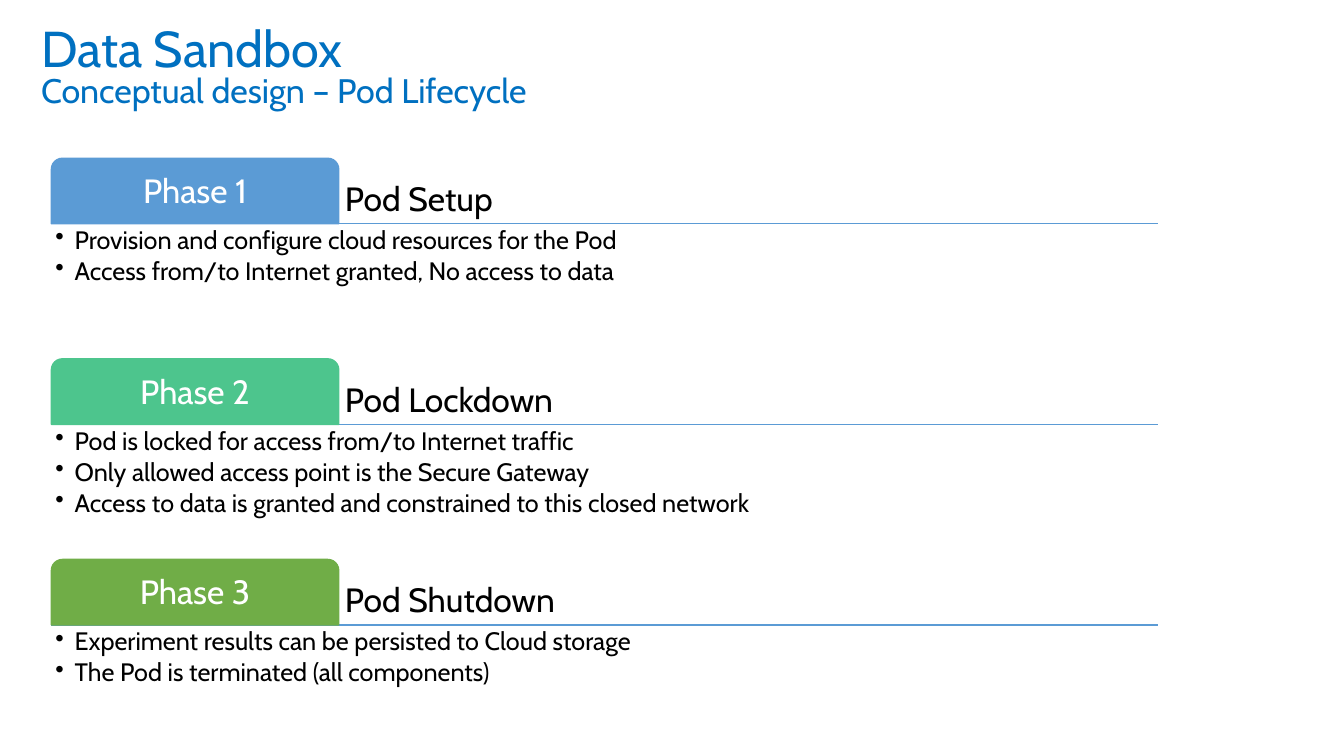
import lxml.etree
import pptx
import pptx.dml.color
import pptx.enum.shapes
import pptx.enum.text
import pptx.oxml.ns
import pptx.util

BLUE = pptx.dml.color.RGBColor(0x5B, 0x9B, 0xD5)
MINT = pptx.dml.color.RGBColor(0x4D, 0xC5, 0x8D)
GREEN = pptx.dml.color.RGBColor(0x70, 0xAD, 0x47)
HEADING = pptx.dml.color.RGBColor(0x00, 0x70, 0xC0)
BLACK = pptx.dml.color.RGBColor(0x00, 0x00, 0x00)
WHITE = pptx.dml.color.RGBColor(0xFF, 0xFF, 0xFF)
ANCHOR = pptx.enum.text.MSO_ANCHOR
ALIGN = pptx.enum.text.PP_ALIGN
PX = 9144

LEFT, RIGHT, FIRST_TOP, PITCH = 51, 1149, 157, 199
TAB_WIDTH, TAB_HEIGHT, DETAILS_HEIGHT = 285, 65, 130

PHASES = [
    ("Phase 1", "Pod Setup", BLUE, [
        "Provision and configure cloud resources for the Pod",
        "Access from/to Internet granted, No access to data",
    ]),
    ("Phase 2", "Pod Lockdown", MINT, [
        "Pod is locked for access from/to Internet traffic",
        "Only allowed access point is the Secure Gateway",
        "Access to data is granted and constrained to this closed network",
    ]),
    ("Phase 3", "Pod Shutdown", GREEN, [
        "Experiment results can be persisted to Cloud storage",
        "The Pod is terminated (all components)",
    ]),
]


def apply(target, values):
    """Set every attribute named in values on target."""
    for name, value in values.items():
        setattr(target, name, value)


class PhaseSlide:
    """Draws the elements of a phase overview on one slide."""

    font = "Cabin"

    def __init__(self, deck):
        self.slide = deck.slides.add_slide(deck.slide_layouts[6])
        self.shapes = self.slide.shapes

    def box(self, *place):
        return self.shapes.add_textbox(*(PX * length for length in place))

    def frame(self, shape, inset, anchor):
        margins = {f"margin_{side}": inset * PX for side in ("left", "right", "top", "bottom")}
        apply(shape.text_frame, {"word_wrap": True, "vertical_anchor": anchor, **margins})
        return shape.text_frame

    def run(self, paragraph, text, size, color):
        run = paragraph.add_run()
        run.text = text
        apply(run.font, {"name": self.font, "size": pptx.util.Pt(size)})
        run.font.color.rgb = color

    def title(self, heading, subtitle, *place):
        area = self.box(*place).text_frame
        area.word_wrap = True
        paragraph = area.paragraphs[0]
        paragraph.line_spacing = 0.8
        self.run(paragraph, heading, 36, HEADING)
        paragraph.add_line_break()
        self.run(paragraph, subtitle, 24.3, HEADING)

    def rule(self, left, right, y):
        straight = pptx.enum.shapes.MSO_CONNECTOR.STRAIGHT
        rule = self.shapes.add_connector(straight, left * PX, y * PX, right * PX, y * PX)
        rule.line.color.rgb = BLUE
        rule.line.width = pptx.util.Pt(1)
        properties = rule._element.spPr
        lxml.etree.SubElement(properties, pptx.oxml.ns.qn("a:effectLst"))

    def label(self, shape, text, color, anchor, alignment):
        paragraph = self.frame(shape, 5, anchor).paragraphs[0]
        apply(paragraph, {"line_spacing": 0.9, "alignment": alignment})
        self.run(paragraph, text, 24, color)

    def tab(self, text, color, *place):
        kind = pptx.enum.shapes.MSO_SHAPE.ROUND_2_SAME_RECTANGLE
        tab = self.shapes.add_shape(kind, *(PX * length for length in place))
        tab.shadow.inherit = False
        tab.fill.solid()
        tab.fill.fore_color.rgb = color
        tab.line.color.rgb = color
        tab.line.width = pptx.util.Pt(1)
        self.label(tab, text, WHITE, ANCHOR.MIDDLE, ALIGN.CENTER)

    def name(self, text, *place):
        self.label(self.box(*place), text, BLACK, ANCHOR.BOTTOM, ALIGN.LEFT)

    def details(self, items, *place):
        area = self.frame(self.box(*place), 4, ANCHOR.TOP)
        for index, item in enumerate(items):
            paragraph = area.add_paragraph() if index else area.paragraphs[0]
            apply(paragraph, {"level": 1, "line_spacing": 0.9, "space_after": pptx.util.Pt(2.7)})
            properties = paragraph._p.get_or_add_pPr()
            properties.set("marL", str(19 * PX))
            properties.set("indent", str(-19 * PX))
            bullet = lxml.etree.SubElement(properties, pptx.oxml.ns.qn("a:buChar"))
            bullet.set("char", "•")
            self.run(paragraph, item, 18, BLACK)


def main():
    deck = pptx.Presentation()
    apply(deck, {"slide_width": 1333 * PX, "slide_height": 750 * PX})
    lifecycle = PhaseSlide(deck)
    lifecycle.title("Data Sandbox", "Conceptual design – Pod Lifecycle", 31, 24, 1150, 93)
    name_left = LEFT + TAB_WIDTH + 1
    for index, (phase, name, color, items) in enumerate(PHASES):
        top = FIRST_TOP + index * PITCH
        base = top + TAB_HEIGHT
        lifecycle.rule(LEFT, RIGHT, base)
        lifecycle.name(name, name_left, top, RIGHT - name_left, TAB_HEIGHT)
        lifecycle.tab(phase, color, LEFT, top, TAB_WIDTH, TAB_HEIGHT)
        lifecycle.details(items, LEFT, base, RIGHT - LEFT, DETAILS_HEIGHT)
    deck.save("out.pptx")


if __name__ == "__main__":
    main()
